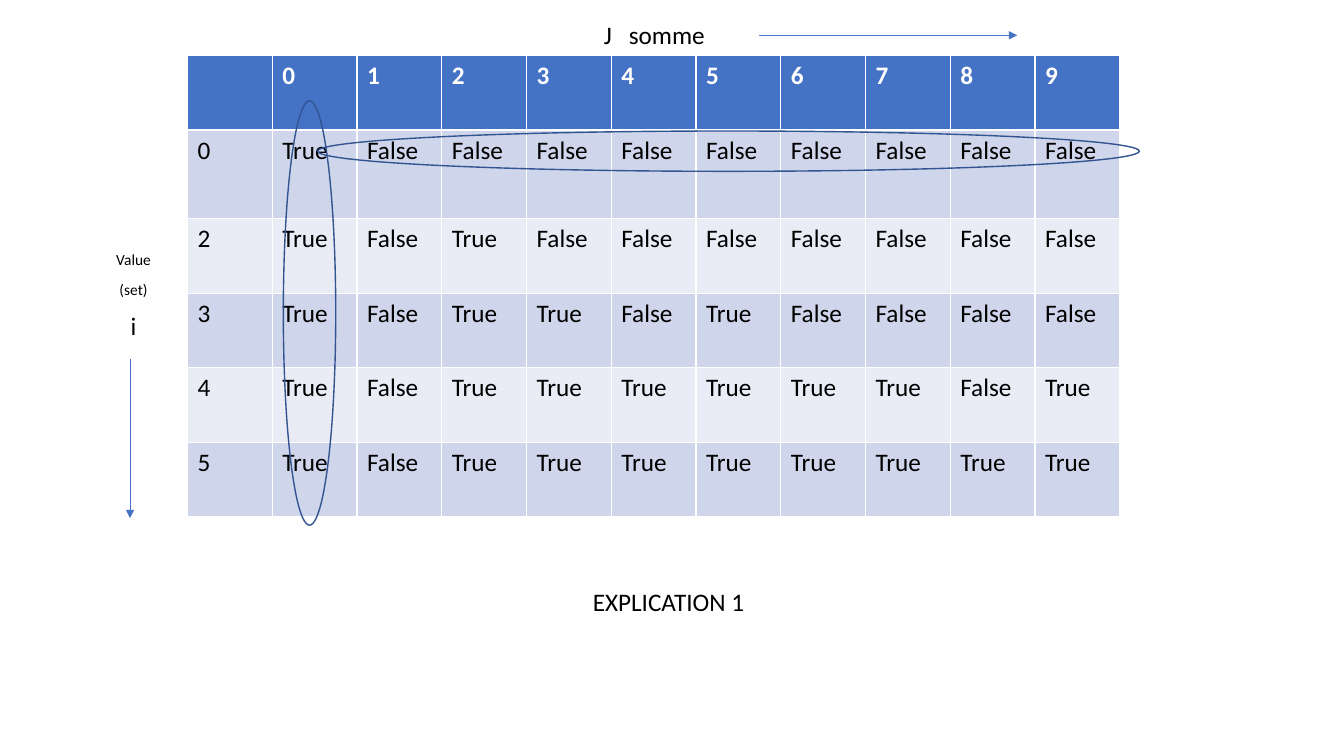
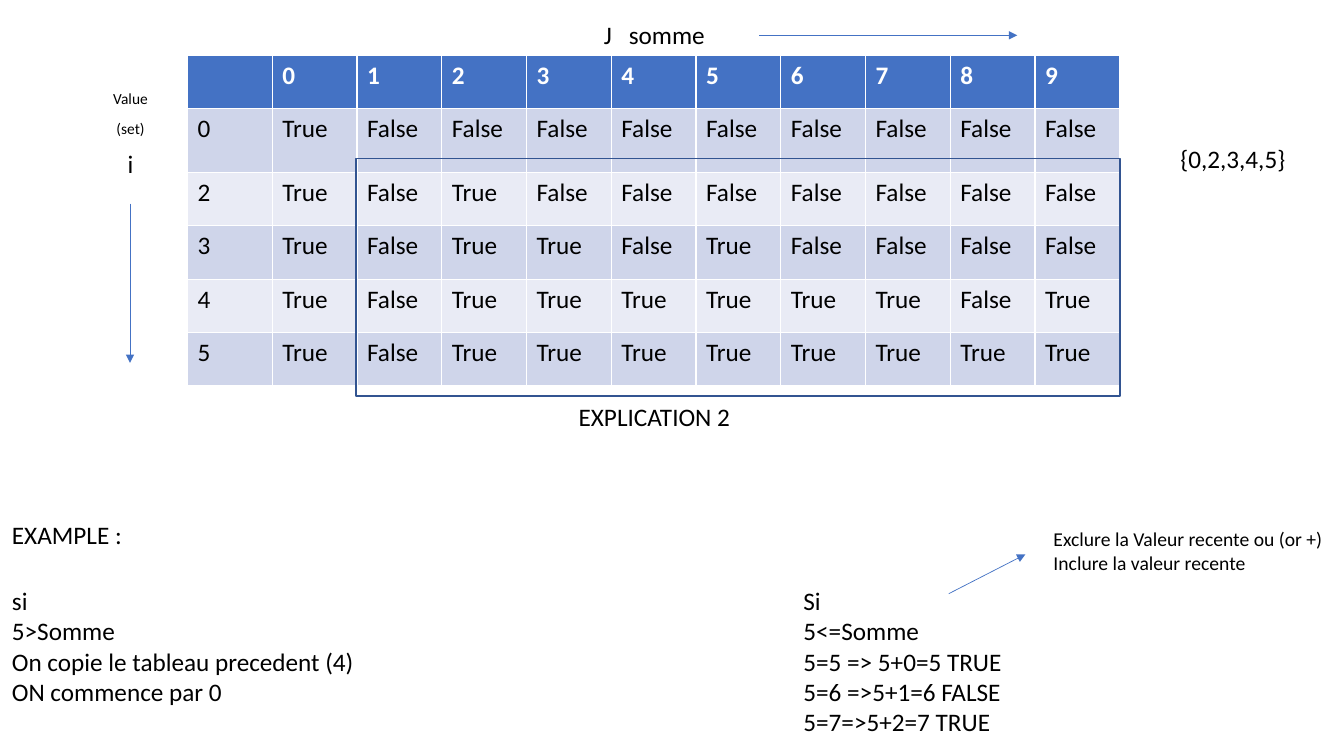
from pptx import Presentation
from pptx.dml.color import RGBColor
from pptx.enum.shapes import MSO_CONNECTOR, MSO_SHAPE
from pptx.enum.text import MSO_ANCHOR, MSO_AUTO_SIZE, PP_ALIGN
from pptx.oxml.ns import qn
from pptx.util import Inches, Pt
from lxml import etree

STRAIGHT = MSO_CONNECTOR.STRAIGHT
ELLIPSE, RECTANGLE = MSO_SHAPE.OVAL, MSO_SHAPE.RECTANGLE
TOP, BOTTOM = MSO_ANCHOR.TOP, MSO_ANCHOR.BOTTOM
NO_FIT, GROW = MSO_AUTO_SIZE.NONE, MSO_AUTO_SIZE.SHAPE_TO_FIT_TEXT
LEFT, CENTER = PP_ALIGN.LEFT, PP_ALIGN.CENTER

FONT = "Calibri"
BLACK, WHITE, BLUE, OUTLINE = "000000", "FFFFFF", "4472C4", "325491"
BANDS = ("CFD5EA", "E9EBF5")

SUM_AXIS = ("J", "somme")
VALUE_AXIS = [("Value", 11), ("(set)", 11), ("i", 18)]
SUMS = range(10)
REACHABLE = {
    0: "TFFFFFFFFF",
    2: "TFTFFFFFFF",
    3: "TFTTFTFFFF",
    4: "TFTTTTTTFT",
    5: "TFTTTTTTTT",
}
WORDS = {"T": "True", "F": "False"}
TABLE_LEFT, TABLE_TOP, TABLE_WIDTH = 1.86, 0.55, 9.25
SUM_ARROW = (7.53, 0.35, 10.09, 0.35)

EXPLANATIONS = [
    {
        "row_height": 0.74,
        "first_row_height": 0.88,
        "value_axis": (0.97, 2.45),
        "arrows": [(1.29, 3.56, 1.29, 5.14)],
        "caption": ("EXPLICATION 1", 3.97, 5.77),
        "outlines": [(ELLIPSE, 2.81, 1, 0.52, 4.21), (ELLIPSE, 3.15, 1.3, 8.15, 0.4)],
        "notes": [],
    },
    {
        "row_height": 0.53,
        "first_row_height": 0.63,
        "value_axis": (0.94, 0.85),
        "arrows": [(1.29, 2.02, 1.29, 3.6), (9.41, 5.89, 10.17, 5.5)],
        "caption": ("EXPLICATION 2", 3.83, 3.93),
        "outlines": [(RECTANGLE, 3.53, 1.57, 7.58, 2.36)],
        "notes": [
            (["EXAMPLE :"], 18, (0.02, 5.1, 3.25, 0.4)),
            (["si", "5>Somme", "On copie le tableau precedent (4)", "ON commence par 0"],
             18, (0.02, 5.76, 3.73, 1.31)),
            (["{0,2,3,4,5}"], 18, (11.61, 1.37, 1.25, 0.4)),
            (["Si", "5<=Somme", "5=5 => 5+0=5 TRUE", "5=6 =>5+1=6 FALSE", "5=7=>5+2=7 TRUE"],
             18, (7.87, 5.76, 2.18, 1.62)),
            (["Exclure la Valeur recente ou (or +)", "Inclure la valeur recente"],
             14, (10.35, 5.18, 2.89, 0.57)),
        ],
    },
]


def rgb(value):
    return RGBColor.from_string(value)


def inches(values):
    return [Inches(value) for value in values]


def style(paragraph, size=18, color=BLACK, bold=False, align=LEFT):
    paragraph.alignment = align
    font = paragraph.font
    font.name, font.size, font.bold = FONT, Pt(size), bold
    font.color.rgb = rgb(color)


def place(placeholder, left, top, width, height, anchor):
    placeholder.left, placeholder.top, placeholder.width, placeholder.height = inches(
        (left, top, width, height))
    frame = placeholder.text_frame
    frame.auto_size, frame.vertical_anchor, frame.word_wrap = NO_FIT, anchor, True
    return frame


def add_axes(slide, value_left, value_top):
    title = place(slide.shapes.title, 1.49, 0.14, 10, 0.41, BOTTOM).paragraphs[0]
    style(title, align=CENTER)
    title.line_spacing = 0.9
    symbol, meaning = SUM_AXIS
    title.add_run().text = symbol
    gap = title.add_run()
    gap.text = " "
    gap._r.get_or_add_rPr().set("spc", "800")
    title.add_run().text = meaning

    values = place(slide.placeholders[1], value_left, value_top, 0.71, 1.2, TOP)
    values.text = "\n".join(text for text, size in VALUE_AXIS)
    for paragraph, (text, size) in zip(values.paragraphs, VALUE_AXIS):
        style(paragraph, size, align=CENTER)
        paragraph.line_spacing, paragraph.space_before = 0.9, Pt(10)


def add_truth_table(slide, row_height, first_row_height):
    rows = [["", *map(str, SUMS)]]
    rows += [[str(value), *(WORDS[mark] for mark in marks)] for value, marks in REACHABLE.items()]
    heights = [row_height, first_row_height] + [row_height] * (len(rows) - 2)
    columns = len(rows[0])
    table = slide.shapes.add_table(len(rows), columns, *inches(
        (TABLE_LEFT, TABLE_TOP, TABLE_WIDTH, sum(heights)))).table
    for column in table.columns:
        column.width = Inches(TABLE_WIDTH / columns)
    for r, (texts, height) in enumerate(zip(rows, heights)):
        header = r == 0
        table.rows[r].height = Inches(height)
        for cell, text in zip(table.rows[r].cells, texts):
            cell.text = text
            cell.fill.solid()
            cell.fill.fore_color.rgb = rgb(BLUE if header else BANDS[(r - 1) % 2])
            style(cell.text_frame.paragraphs[0], color=WHITE if header else BLACK, bold=header)


def add_arrow(slide, *ends):
    arrow = slide.shapes.add_connector(STRAIGHT, *inches(ends))
    arrow.line.color.rgb = rgb(BLUE)
    arrow.line.width = Pt(0.5)
    etree.SubElement(arrow.line._get_or_add_ln(), qn("a:tailEnd"), type="triangle")
    etree.SubElement(arrow._element.spPr, qn("a:effectLst"))


def add_outline(slide, kind, *box):
    outline = slide.shapes.add_shape(kind, *inches(box))
    outline.shadow.inherit = False
    outline.fill.background()
    outline.line.color.rgb = rgb(OUTLINE)
    outline.line.width = Pt(1)


def add_note(slide, lines, size, box, align=LEFT, wrap=False):
    frame = slide.shapes.add_textbox(*inches(box)).text_frame
    frame.word_wrap, frame.auto_size = wrap, GROW
    frame.text = "\n".join(lines)
    for paragraph in frame.paragraphs:
        style(paragraph, size, align=align)


deck = Presentation()
deck.slide_width, deck.slide_height = inches((13.33, 7.5))
for explanation in EXPLANATIONS:
    slide = deck.slides.add_slide(deck.slide_layouts[0])
    add_axes(slide, *explanation["value_axis"])
    add_truth_table(slide, explanation["row_height"], explanation["first_row_height"])
    for ends in [SUM_ARROW, *explanation["arrows"]]:
        add_arrow(slide, *ends)
    caption, left, top = explanation["caption"]
    add_note(slide, [caption], 18, (left, top, 5.32, 0.4), CENTER, True)
    for outline in explanation["outlines"]:
        add_outline(slide, *outline)
    for lines, size, box in explanation["notes"]:
        add_note(slide, lines, size, box)
deck.save("out.pptx")
